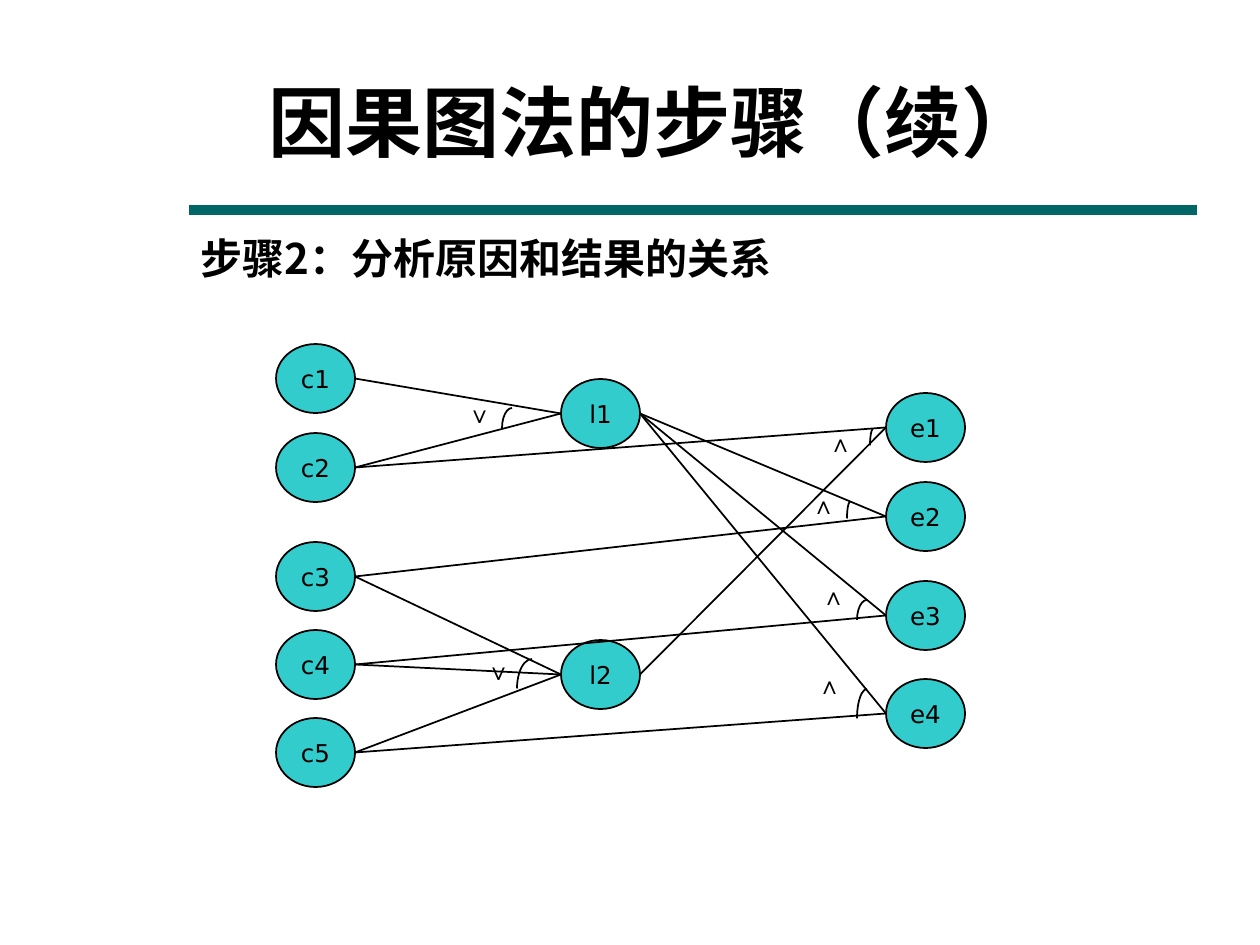
from dataclasses import dataclass

from lxml import etree
from pptx import Presentation
from pptx.dml.color import RGBColor
from pptx.enum.shapes import MSO_CONNECTOR, MSO_SHAPE
from pptx.enum.text import MSO_ANCHOR, PP_ALIGN
from pptx.oxml.ns import qn
from pptx.util import Emu, Pt

EMU_PER_PX = 914400 / 126
STRAIGHT = MSO_CONNECTOR.STRAIGHT
OVAL, ARC = MSO_SHAPE.OVAL, MSO_SHAPE.ARC
TOP, MIDDLE = MSO_ANCHOR.TOP, MSO_ANCHOR.MIDDLE
LEFT, CENTER = PP_ALIGN.LEFT, PP_ALIGN.CENTER


@dataclass(frozen=True)
class Theme:
    ink: str = "000000"
    rule: str = "006666"
    node: str = "33CCCC"
    title_font: str = "Noto Sans CJK JP"
    heading_font: str = "Noto Sans CJK SC"
    node_font: str = "DejaVu Sans"
    operator_font: str = "Arial"
    title_size: int = 44
    heading_size: int = 24
    label_size: int = 14
    thin: int = 1
    thick: int = 6


THEME = Theme()
NODE_W, NODE_H = 79, 69

# Column left edge, then the top of each node in it
COLUMNS = [
    (276, {"c1": 344, "c2": 433, "c3": 542, "c4": 630, "c5": 718}),
    (561, {"l1": 379, "l2": 640}),
    (886, {"e1": 393, "e2": 482, "e3": 581, "e4": 679}),
]
EDGES = [
    ("c1", "l1"), ("c2", "l1"),
    ("c3", "l2"), ("c4", "l2"), ("c5", "l2"),
    ("l1", "e2"), ("l1", "e3"), ("l1", "e4"),
    ("c3", "e2"), ("c4", "e3"), ("c5", "e4"),
    ("l2", "e1"), ("c2", "e1"),
]
# Operator, its label's left and top, and the box of its arc
OPERATORS = [
    ("∨", 455, 393, (502, 408, 20, 40)),
    ("∨", 474, 650, (517, 659, 30, 59)),
    ("∧", 816, 422, (870, 429, 6, 33)),
    ("∧", 799, 484, (847, 502, 6, 33)),
    ("∧", 809, 575, (857, 600, 20, 40)),
    ("∧", 805, 664, (857, 689, 20, 59)),
]


def px(*lengths):
    return [Emu(round(n * EMU_PER_PX)) for n in lengths]


def rgb(value):
    return RGBColor.from_string(value)


def write_text(sp, text, font, size, bold=False, align=LEFT, anchor=TOP,
               wrap=True, spacing=None):
    tf = sp.text_frame
    tf.word_wrap = wrap
    tf.vertical_anchor = anchor
    p = tf.paragraphs[0]
    p.alignment = align
    p.line_spacing = spacing
    r = p.add_run()
    r.text = text
    r.font.size = Pt(size)
    r.font.bold = bold
    r.font.color.rgb = rgb(THEME.ink)
    r.font.name = font
    east_asian = etree.SubElement(r._r.get_or_add_rPr(), qn("a:ea"))
    east_asian.set("typeface", font)


def add_title(s, text):
    sp = s.shapes.title
    sp.left, sp.top, sp.width, sp.height = px(108, 79, 1092, 106)
    write_text(sp, text, THEME.title_font, THEME.title_size, bold=True,
               align=CENTER, spacing=0.9)


def add_text(s, box, text, font, size, **fmt):
    write_text(s.shapes.add_textbox(*px(*box)), text, font, size, **fmt)


def add_line(s, start, end, color, width):
    line = s.shapes.add_connector(STRAIGHT, *px(*start, *end))
    line.line.color.rgb = rgb(color)
    line.line.width = Pt(width)
    etree.SubElement(line._element.spPr, qn("a:effectLst"))


def add_outlined(s, kind, box):
    sp = s.shapes.add_shape(kind, *px(*box))
    sp.shadow.inherit = False
    sp.line.color.rgb = rgb(THEME.ink)
    sp.line.width = Pt(THEME.thin)
    return sp


def add_node(s, label, left, top):
    sp = add_outlined(s, OVAL, (left, top, NODE_W, NODE_H))
    sp.fill.solid()
    sp.fill.fore_color.rgb = rgb(THEME.node)
    write_text(sp, label, THEME.node_font, THEME.label_size,
               align=CENTER, anchor=MIDDLE, wrap=False)


def add_arc(s, box):
    """Draw the upper left quarter of the ellipse in box."""
    sp = add_outlined(s, ARC, box)
    sp.fill.background()
    # Angles of 180 and 270 degrees, in units of 1/0.6 degree
    sp.adjustments[0], sp.adjustments[1] = 108, 162


def add_graph(s):
    places = {label: (left, top) for left, tops in COLUMNS
              for label, top in tops.items()}
    for label, place in places.items():
        add_node(s, label, *place)
    for source, target in EDGES:
        (x1, y1), (x2, y2) = places[source], places[target]
        add_line(s, (x1 + NODE_W, y1 + NODE_H / 2), (x2, y2 + NODE_H / 2),
                 THEME.ink, THEME.thin)
    for symbol, left, top, arc in OPERATORS:
        add_arc(s, arc)
        add_text(s, (left, top, 48, 43), symbol,
                 THEME.operator_font, THEME.label_size)


def main():
    prs = Presentation()
    prs.slide_width, prs.slide_height = px(1260, 945)
    s = prs.slides.add_slide(prs.slide_layouts[5])
    add_line(s, (189, 210), (1197, 210), THEME.rule, THEME.thick)
    add_title(s, "因果图法的步骤（续）")
    add_text(s, (188, 232, 1082, 176), "步骤2：分析原因和结果的关系",
             THEME.heading_font, THEME.heading_size, bold=True, spacing=0.9)
    add_graph(s)
    prs.save("out.pptx")


if __name__ == "__main__":
    main()
